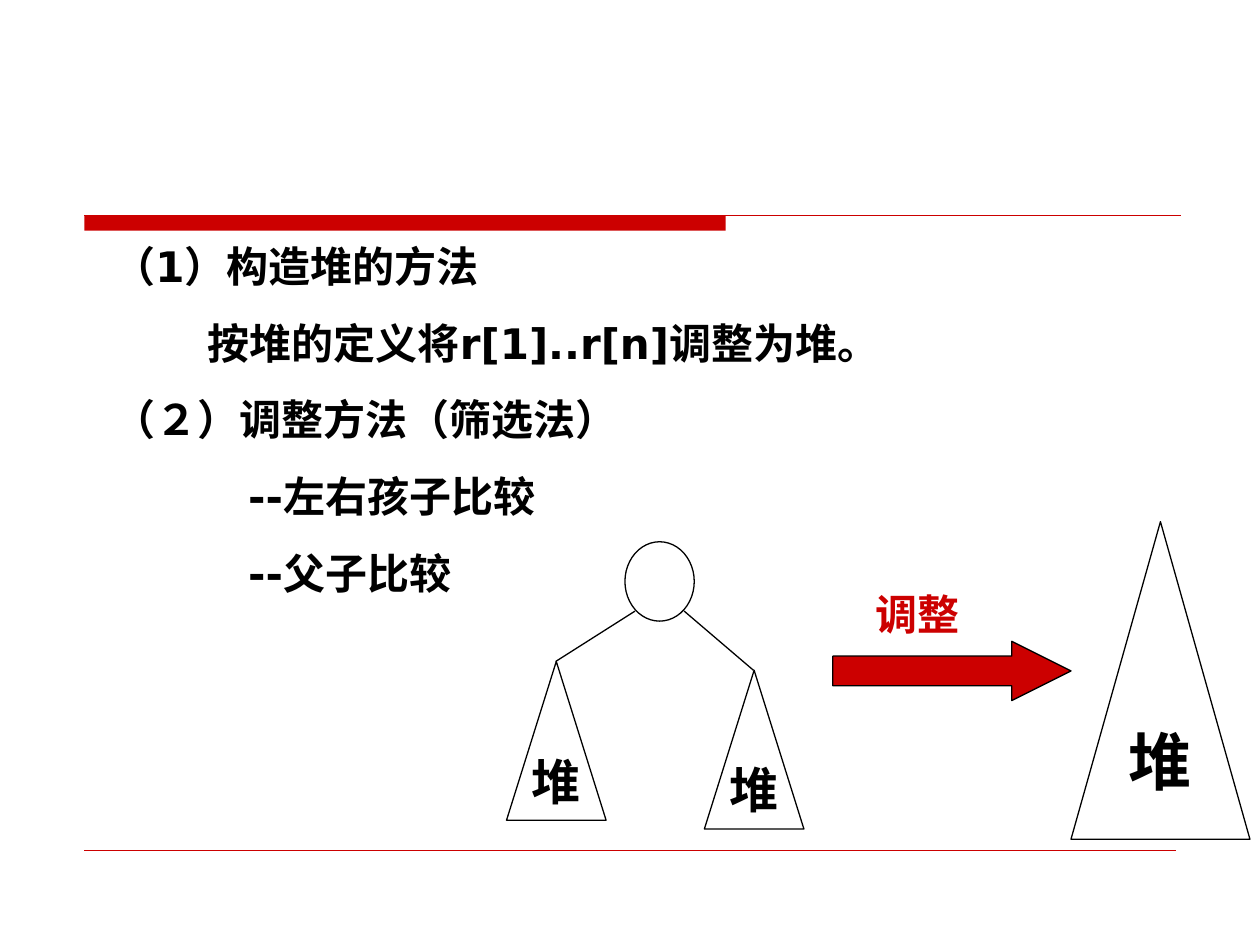
from lxml import etree
from pptx import Presentation
from pptx.dml.color import RGBColor
from pptx.enum.shapes import MSO_CONNECTOR, MSO_SHAPE
from pptx.enum.text import MSO_ANCHOR, MSO_AUTO_SIZE, PP_ALIGN
from pptx.oxml.ns import qn
from pptx.util import Inches, Pt

STRAIGHT = MSO_CONNECTOR.STRAIGHT
RECTANGLE = MSO_SHAPE.RECTANGLE
ELLIPSE = MSO_SHAPE.OVAL
TRIANGLE = MSO_SHAPE.ISOSCELES_TRIANGLE
ARROW = MSO_SHAPE.RIGHT_ARROW
MIDDLE, TOP = MSO_ANCHOR.MIDDLE, MSO_ANCHOR.TOP
CENTER, LEFT = PP_ALIGN.CENTER, PP_ALIGN.LEFT
NO_FIT, GROW = MSO_AUTO_SIZE.NONE, MSO_AUTO_SIZE.SHAPE_TO_FIT_TEXT


def rgb(hex_colour):
    return RGBColor.from_string(hex_colour)


class HeapSlide:
    RED, BLACK, WHITE = "CC0000", "000000", "FFFFFF"
    BODY_FONT, LABEL_FONT = "DejaVu Sans", "Arial"
    OUTLINE = 0.75

    def __init__(self, slide):
        self.slide = slide

    def format_text(self, paragraph, size, font, colour):
        for run in paragraph.runs:
            run.font.size = Pt(size)
            run.font.name = font
            run.font.bold = True
            run.font.color.rgb = rgb(colour)

    def shape(self, kind, box, fill=WHITE, outline=BLACK):
        shape = self.slide.shapes.add_shape(kind, *map(Inches, box))
        shape.shadow.inherit = False
        shape.fill.solid()
        shape.fill.fore_color.rgb = rgb(fill)
        if outline:
            shape.line.color.rgb = rgb(outline)
            shape.line.width = Pt(self.OUTLINE)
        else:
            shape.line.fill.background()
        return shape

    def line(self, start, end, colour=BLACK, width=OUTLINE):
        line = self.slide.shapes.add_connector(STRAIGHT, *map(Inches, start + end))
        line.line.color.rgb = rgb(colour)
        line.line.width = Pt(width)
        etree.SubElement(line._element.spPr, qn("a:effectLst"))

    def label(self, shape, text, size, colour=BLACK, align=CENTER, anchor=MIDDLE):
        frame = shape.text_frame
        frame.text = text
        frame.word_wrap = False
        frame.vertical_anchor = anchor
        frame.margin_left = frame.margin_right = Inches(0.1)
        frame.margin_top = frame.margin_bottom = Inches(0.05)
        frame.paragraphs[0].alignment = align
        self.format_text(frame.paragraphs[0], size, self.LABEL_FONT, colour)

    def heap(self, box, size):
        self.label(self.shape(TRIANGLE, box), "堆", size)

    def caption(self, box, text, size):
        caption = self.slide.shapes.add_textbox(*map(Inches, box))
        self.label(caption, text, size, self.RED, LEFT, TOP)
        caption.text_frame.auto_size = GROW

    def body(self, box, items):
        """Fill the body placeholder with (text, extra indent in inches) items."""
        body = self.slide.placeholders[1]
        body.left, body.top, body.width, body.height = map(Inches, box)
        frame = body.text_frame
        frame.text = "\n".join(text for text, _ in items)
        frame.auto_size = NO_FIT
        frame.vertical_anchor = TOP
        for number, (paragraph, (_, extra)) in enumerate(zip(frame.paragraphs, items)):
            paragraph.level = 3
            paragraph.alignment = LEFT
            paragraph.space_before = Pt(15 if number else 0)
            properties = paragraph._p.get_or_add_pPr()
            properties.set("marL", str(Inches(1.85 + extra)))
            properties.set("indent", str(Inches(-0.42)))
            etree.SubElement(properties, qn("a:buNone"))
            self.format_text(paragraph, 24, self.BODY_FONT, self.BLACK)


def main():
    presentation = Presentation()
    presentation.slide_width, presentation.slide_height = Inches(10), Inches(7.5)
    slide = presentation.slides.add_slide(presentation.slide_layouts[1])
    title = slide.shapes.title._element
    title.getparent().remove(title)
    page = HeapSlide(slide)

    page.shape(RECTANGLE, (0.67, 1.71, 5.09, 0.12), page.RED, None)
    page.line((0.67, 1.71), (9.37, 1.71), page.RED, 1)
    page.line((0.67, 6.75), (9.33, 6.75), page.RED, 0.25)

    page.body((-0.63, 1.86, 10.63, 5.23), [
        ("（1）构造堆的方法", 0),
        ("按堆的定义将r[1]..r[n]调整为堆。", 0.75),
        ("（２）调整方法（筛选法）", 0),
        ("--左右孩子比较", 1.07),
        ("--父子比较", 1.07),
    ])

    page.shape(ELLIPSE, (4.96, 4.3, 0.55, 0.63))
    page.heap((4.02, 5.25, 0.79, 1.26), 28)
    page.heap((5.59, 5.32, 0.79, 1.26), 28)
    page.line((5.04, 4.85), (4.41, 5.25))
    page.line((5.43, 4.85), (5.98, 5.32))

    arrow = page.shape(ARROW, (6.61, 5.09, 1.89, 0.47), page.RED)
    arrow.adjustments[1] = 1
    page.caption((6.85, 4.62, 0.9, 0.5), "调整", 24)
    page.heap((8.5, 4.14, 1.42, 2.52), 36)

    presentation.save("out.pptx")


if __name__ == "__main__":
    main()
